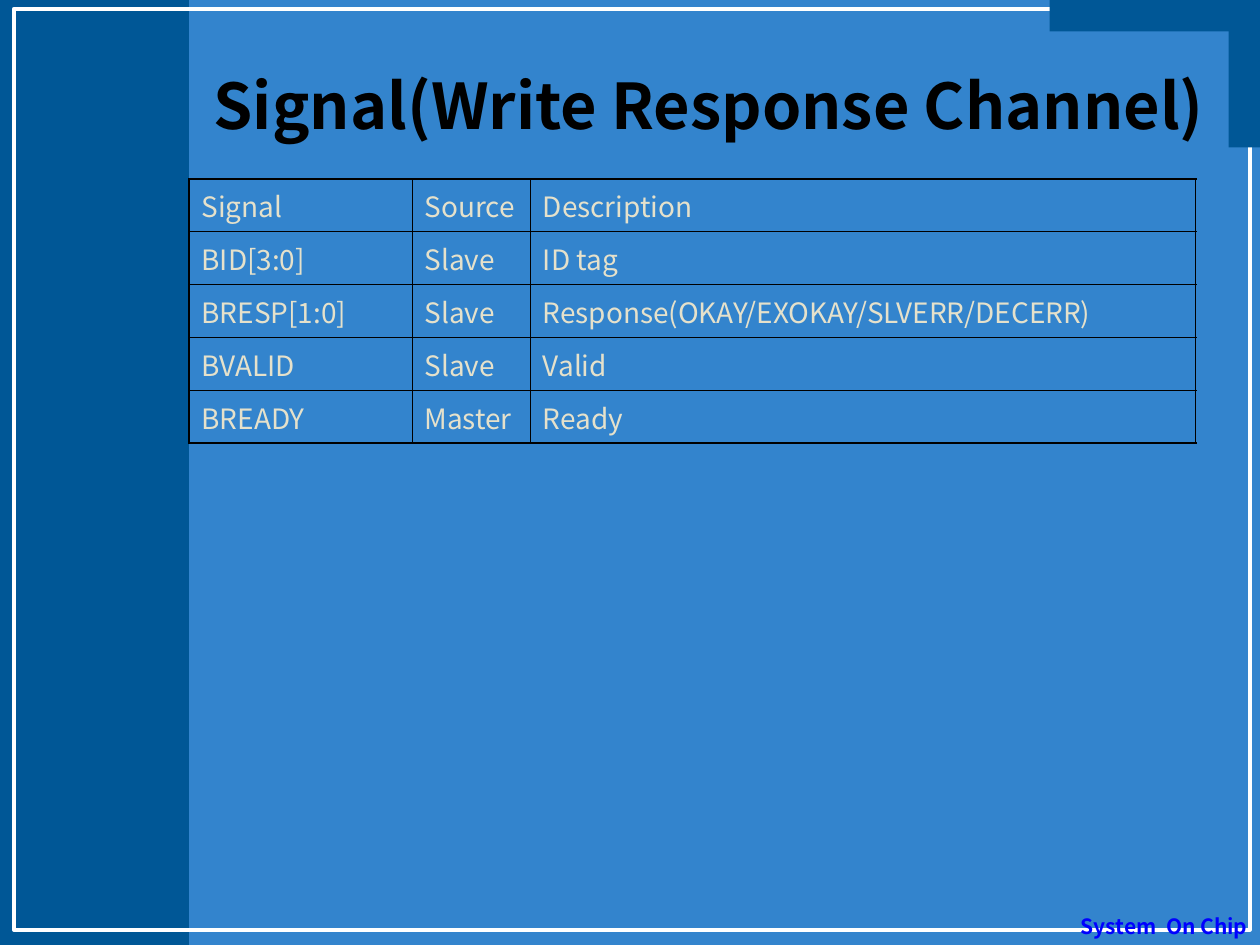
from lxml.etree import SubElement
from pptx import Presentation
from pptx.dml.color import RGBColor
from pptx.enum.shapes import MSO_SHAPE as Shape
from pptx.enum.text import MSO_ANCHOR as Anchor, PP_ALIGN as Align
from pptx.oxml.ns import qn
from pptx.util import Inches, Pt

FONT = "Noto Sans CJK KR"
BLACK, WHITE, NAVY, SKY = "000000", "FFFFFF", "005796", "3384CD"
BLUE, CREAM = "0000FF", "E5E1CB"
THIN, THICK = 0.45, 1.08
COLUMN_WIDTHS = [1.77, 0.94, 5.28]
ROW_HEIGHT = 0.42
SIGNALS = [
    ("Signal", "Source", "Description"),
    ("BID[3:0]", "Slave", "ID tag"),
    ("BRESP[1:0]", "Slave", "Response(OKAY/EXOKAY/SLVERR/DECERR)"),
    ("BVALID", "Slave", "Valid"),
    ("BREADY", "Master", "Ready"),
]


def color(value):
    return RGBColor.from_string(value)


def write(frame, text, size, ink, bold=False, align=Align.LEFT):
    para = frame.paragraphs[0]
    para.alignment = align
    span = para.add_run()
    span.text = text
    span.font.name = FONT
    span.font.size = Pt(size)
    span.font.bold = bold
    span.font.color.rgb = color(ink)


def add_rectangle(page, box, fill=None, line=None):
    shape = page.shapes.add_shape(Shape.RECTANGLE, *map(Inches, box))
    shape.shadow.inherit = False
    if fill:
        shape.fill.solid()
        shape.fill.fore_color.rgb = color(fill)
    else:
        shape.fill.background()
    if line:
        shape.line.color.rgb = color(line)
        shape.line.width = Pt(2.25)
    else:
        shape.line.fill.background()


def add_label(page, box, text, size, ink, align, anchor=Anchor.TOP):
    frame = page.shapes.add_textbox(*map(Inches, box)).text_frame
    frame.word_wrap = True
    frame.vertical_anchor = anchor
    write(frame, text, size, ink, True, align)


def add_backdrop(page, width, height):
    page.background.fill.solid()
    page.background.fill.fore_color.rgb = color(SKY)
    add_rectangle(page, (0, 0, 1.5, height), fill=NAVY)
    add_rectangle(page, (0.11, 0.07, 9.81, 7.31), line=WHITE)
    add_rectangle(page, (width - 1.67, 0, 1.67, 0.25), fill=NAVY)
    add_rectangle(page, (width - 0.25, 0, 0.25, 1.17), fill=NAVY)
    add_label(page, (8.46, 7.2, 1.54, 0.5), "System  On Chip", 12, BLUE, Align.RIGHT)


def set_borders(cell, outer_sides):
    properties = cell._tc.get_or_add_tcPr()
    for side, is_outer in zip("LRTB", outer_sides):
        width = THICK if is_outer else THIN
        line = SubElement(properties, qn(f"a:ln{side}"), w=str(Pt(width)))
        fill = SubElement(line, qn("a:solidFill"))
        SubElement(fill, qn("a:srgbClr"), val=BLACK)


def add_signal_table(page, left, top):
    row_count, column_count = len(SIGNALS), len(COLUMN_WIDTHS)
    box = (left, top, sum(COLUMN_WIDTHS), ROW_HEIGHT * row_count)
    table = page.shapes.add_table(row_count, column_count, *map(Inches, box)).table
    table.first_row = False
    table.horz_banding = False
    for column, width in zip(table.columns, COLUMN_WIDTHS):
        column.width = Inches(width)
    for r, values in enumerate(SIGNALS):
        table.rows[r].height = Inches(ROW_HEIGHT)
        for c, text in enumerate(values):
            cell = table.cell(r, c)
            set_borders(cell, (c == 0, c == column_count - 1, r == 0, r == row_count - 1))
            cell.fill.background()
            write(cell.text_frame, text, 16, CREAM)


def main():
    deck = Presentation()
    width, height = 10, 7.5
    deck.slide_width, deck.slide_height = Inches(width), Inches(height)
    page = deck.slides.add_slide(deck.slide_layouts[6])
    add_backdrop(page, width, height)
    add_label(page, (1.5, 0.33, 8.25, 1), "Signal(Write Response Channel)", 36, BLACK,
              Align.CENTER, Anchor.MIDDLE)
    add_signal_table(page, 1.5, 1.42)
    deck.save("out.pptx")


if __name__ == "__main__":
    main()
